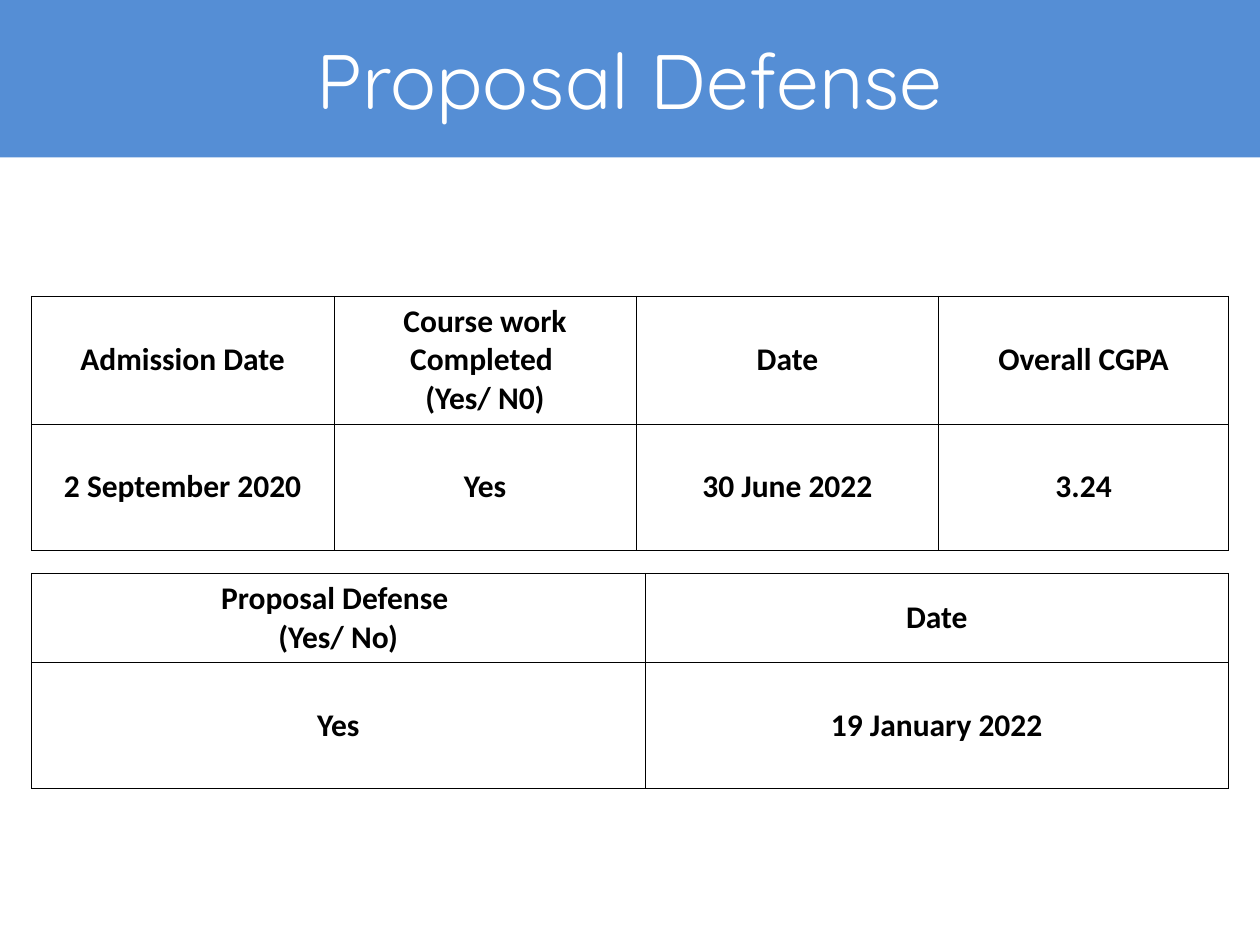
from lxml import etree
from pptx import Presentation
from pptx import util as u
from pptx.dml.color import RGBColor
from pptx.enum import shapes, text
from pptx.oxml import ns

BLUE = RGBColor(0x55, 0x8E, 0xD5)
WHITE = RGBColor(0xFF, 0xFF, 0xFF)
BLACK = RGBColor(0x00, 0x00, 0x00)


class SlideBuilder:
    title_font = "Quicksand"
    body_font = "Calibri"
    border_width = u.Pt(0.45)

    def __init__(self, slide):
        self.slide = slide

    def label(self, frame, content, font, size, color, bold=False):
        frame.text = content
        for paragraph in frame.paragraphs:
            paragraph.alignment = text.PP_ALIGN.CENTER
            paragraph.font.name = font
            paragraph.font.size = u.Pt(size)
            paragraph.font.bold = bold
            paragraph.font.color.rgb = color

    def banner(self, content, width, height):
        box = self.slide.shapes.add_shape(
            shapes.MSO_SHAPE.RECTANGLE, 0, 0, u.Inches(width), u.Inches(height))
        box.shadow.inherit = False
        box.fill.solid()
        box.fill.fore_color.rgb = BLUE
        box.line.fill.background()
        box.text_frame.vertical_anchor = text.MSO_ANCHOR.MIDDLE
        self.label(box.text_frame, content, self.title_font, 44, WHITE)

    def border(self, cell):
        properties = cell._tc.get_or_add_tcPr()
        for position, side in enumerate(("lnL", "lnR", "lnT", "lnB")):
            line = etree.Element(ns.qn(f"a:{side}"), w=str(self.border_width))
            fill = etree.SubElement(line, ns.qn("a:solidFill"))
            etree.SubElement(fill, ns.qn("a:srgbClr"), val=str(BLACK))
            properties.insert(position, line)

    def table(self, left, top, widths, heights, rows):
        table = self.slide.shapes.add_table(
            len(heights), len(widths), u.Inches(left), u.Inches(top),
            u.Inches(sum(widths)), u.Inches(sum(heights))).table
        table.first_row = table.horz_banding = False
        for column, width in zip(table.columns, widths):
            column.width = u.Inches(width)
        for row, height, contents in zip(table.rows, heights, rows):
            row.height = u.Inches(height)
            for cell, content in zip(row.cells, contents):
                cell.fill.background()
                cell.vertical_anchor = text.MSO_ANCHOR.MIDDLE
                self.label(cell.text_frame, content, self.body_font, 18, BLACK, True)
                self.border(cell)


def main():
    deck = Presentation()
    deck.slide_width, deck.slide_height = u.Inches(10), u.Inches(7.5)
    page = SlideBuilder(deck.slides.add_slide(deck.slide_layouts[6]))
    page.banner("Proposal Defense", 10, 1.25)
    page.table(0.25, 2.35, [2.4, 2.4, 2.4, 2.3], [1, 1], [
        ["Admission Date", "Course work Completed \n(Yes/ N0)", "Date", "Overall CGPA"],
        ["2 September 2020", "Yes", "30 June 2022", "3.24"],
    ])
    page.table(0.25, 4.55, [4.87, 4.63], [0.7, 1], [
        ["Proposal Defense \n(Yes/ No)", "Date"],
        ["Yes", "19 January 2022"],
    ])
    deck.save("out.pptx")


if __name__ == "__main__":
    main()
